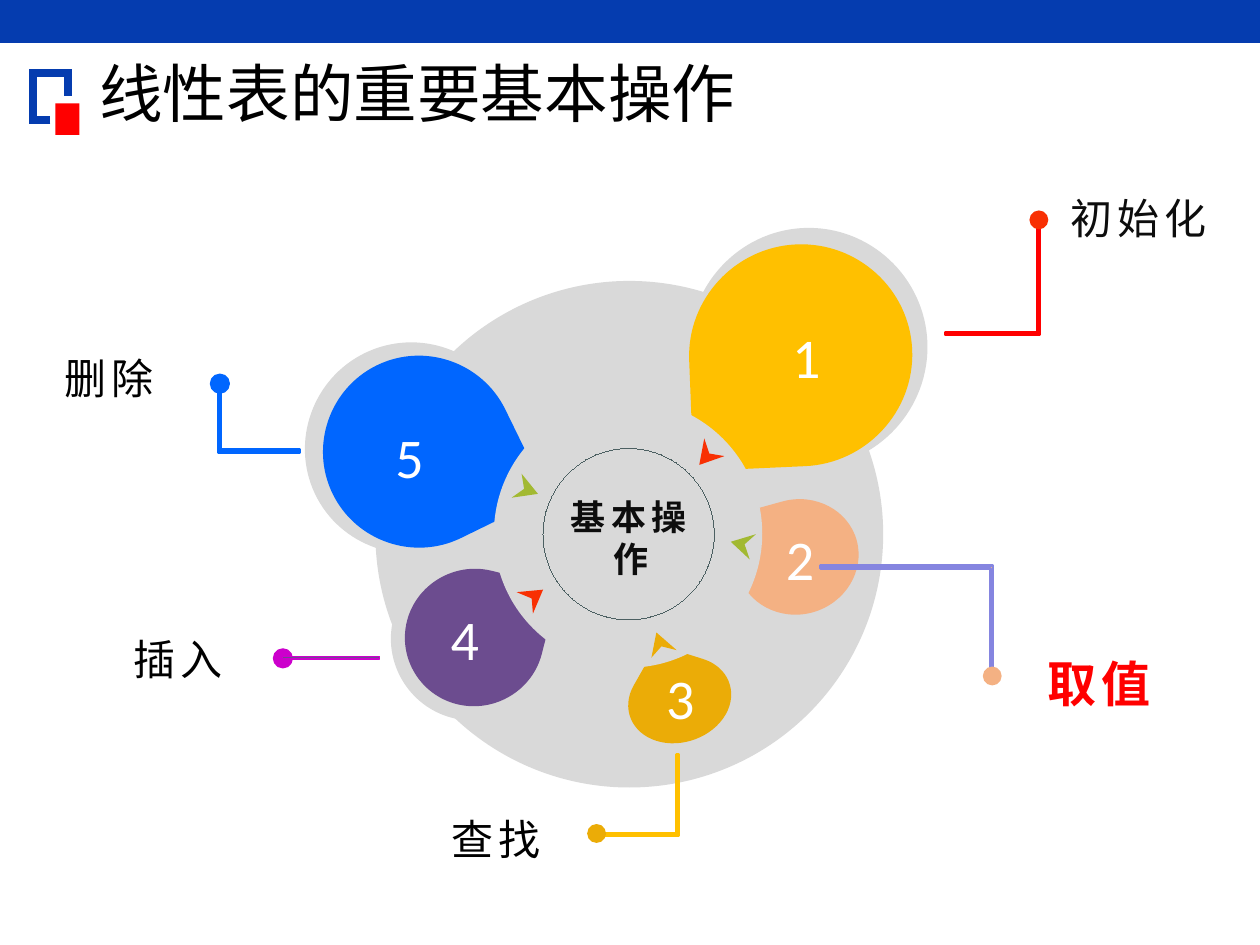
from dataclasses import dataclass

from lxml import etree
from pptx import Presentation
from pptx.dml.color import RGBColor
from pptx.enum.shapes import MSO_SHAPE
from pptx.enum.text import MSO_ANCHOR, MSO_AUTO_SIZE, PP_ALIGN
from pptx.oxml.ns import qn
from pptx.util import Inches, Pt

NAVY = RGBColor(0x05, 0x3C, 0xAF)
RED = RGBColor(0xFF, 0x00, 0x00)
GREY = RGBColor(0xD9, 0xD9, 0xD9)
PURPLE = RGBColor(0x6C, 0x4C, 0x8F)
MAGENTA = RGBColor(0xCC, 0x00, 0xCC)
BLUE = RGBColor(0x00, 0x66, 0xFF)
AMBER = RGBColor(0xFF, 0xC0, 0x00)
PEACH = RGBColor(0xF4, 0xB1, 0x83)
GOLD = RGBColor(0xEB, 0xAC, 0x07)
ORANGE = RGBColor(0xF8, 0x30, 0x03)
GREEN = RGBColor(0xA2, 0xB9, 0x32)
LILAC = RGBColor(0x85, 0x85, 0xE0)
SLATE = RGBColor(0x4C, 0x60, 0x62)
INK = RGBColor(0x0D, 0x0D, 0x0D)
BLACK = RGBColor(0x00, 0x00, 0x00)
WHITE = RGBColor(0xFF, 0xFF, 0xFF)

HAIRLINE = 0.01
QUARTER_ARC = 0.55  # handle length of a Bézier quarter circle

# Petals, relative to the wheel box: colour, then the first three quarter points
HALOS = [
    (GREY, (5.47, 1.80), (6.38, 0.81), (7.36, 1.72)),
    (GREY, (3.62, 3.31), (2.50, 2.92), (2.90, 1.80)),
    (GREY, (4.39, 4.17), (3.65, 4.71), (3.11, 3.97)),
]
PETALS = [
    (PURPLE, (4.30, 4.19), (3.63, 4.59), (3.23, 3.93)),
    (BLUE, (3.66, 3.27), (2.64, 2.92), (2.99, 1.90)),
    (AMBER, (5.47, 1.86), (6.32, 0.94), (7.24, 1.78)),
    (PEACH, (6.21, 2.98), (6.80, 3.29), (6.45, 3.86)),
    (GOLD, (5.58, 4.23), (5.76, 4.67), (5.21, 4.88)),
]
# Arrowheads: colour, wing, tip, wing, notch
ARROWS = [
    (ORANGE, [(4.10, 3.70), (4.31, 3.68), (4.23, 3.87), (4.22, 3.75)]),
    (GREEN, [(4.14, 2.76), (4.27, 2.92), (4.06, 2.95), (4.16, 2.88)]),
    (ORANGE, [(5.75, 2.62), (5.55, 2.69), (5.59, 2.48), (5.63, 2.60)]),
    (GREEN, [(5.95, 3.44), (5.80, 3.30), (6.00, 3.24), (5.91, 3.32)]),
    (GOLD, [(5.17, 4.22), (5.21, 4.02), (5.37, 4.16), (5.25, 4.13)]),
]
# Leaders: fill, line, corner, x of the level end, y of the upright end
LEADERS = [
    (RED, RED, (8.25, 1.66), 7.50, 0.70),
    (PEACH, LILAC, (7.88, 3.49), 6.51, 4.30),
    (AMBER, AMBER, (5.39, 5.63), 4.72, 4.99),
    (BLUE, BLUE, (1.73, 2.59), 2.38, 2.01),
]
# Dots: colour, left, top, outline
DOTS = [
    (ORANGE, 8.17, 0.67, None),
    (PEACH, 7.80, 4.29, None),
    (MAGENTA, 2.17, 4.15, MAGENTA),
    (GOLD, 4.66, 5.54, None),
    (BLUE, 1.67, 1.97, BLUE),
]
# Labels: text, left, top, width, height, size, colour, bold
LABELS = [
    ("初始化", 8.33, 0.46, 1.41, 0.54, 24, INK, False),
    ("查找", 3.42, 5.39, 1.03, 0.54, 24, BLACK, False),
    ("插入", 0.90, 3.96, 1.03, 0.54, 24, BLACK, False),
    ("取值", 8.15, 4.12, 1.14, 0.61, 28, RED, True),
    ("删除", 0.35, 1.73, 1.03, 0.54, 24, BLACK, False),
]
NUMBERS = [("1", 6.13, 1.49), ("5", 2.98, 2.28), ("4", 3.42, 3.73),
           ("3", 5.13, 4.20), ("2", 6.08, 3.09)]


@dataclass
class Box:
    left: float
    top: float
    width: float
    height: float

    def inner(self, left, top, width, height):
        return Box(self.left + left, self.top + top, width, height)

    def frame(self):
        return [Inches(v) for v in (self.left, self.top, self.width, self.height)]


def paint(shape, fill, line=None, weight=0.75):
    shape.shadow.inherit = False
    if fill is None:
        shape.fill.background()
    else:
        shape.fill.solid()
        shape.fill.fore_color.rgb = fill
    if line is None:
        shape.line.fill.background()
    else:
        shape.line.color.rgb = line
        shape.line.width = Pt(weight)


def add_preset(slide, kind, box, fill, line=None, weight=0.75):
    paint(slide.shapes.add_shape(kind, *box.frame()), fill, line, weight)


def add_outline(slide, box, points, fill, line=None, weight=1.5, close=True):
    points = [(Inches(box.left + x), Inches(box.top + y)) for x, y in points]
    builder = slide.shapes.build_freeform(*points[0])
    builder.add_line_segments(points[1:], close=close)
    shape = builder.convert_to_shape()
    paint(shape, fill, line, weight)
    return shape


def add_petal(slide, box, color, start, quarter, half):
    """Three quarters of an ellipse, closed by a pointed corner."""
    cx, cy = (start[0] + half[0]) / 2, (start[1] + half[1]) / 2
    ux, uy = start[0] - cx, start[1] - cy
    vx, vy = quarter[0] - cx, quarter[1] - cy
    anchors = [start, quarter, half, (cx - vx, cy - vy), (cx + ux - vx, cy + uy - vy)]
    shape = add_outline(slide, box, anchors, color)

    # Round the first three sides
    sides = list(shape._element.iter(qn("a:lnTo")))[:3]
    for side in sides:
        handles = [(cx + ux + QUARTER_ARC * vx, cy + uy + QUARTER_ARC * vy),
                   (cx + vx + QUARTER_ARC * ux, cy + vy + QUARTER_ARC * uy)]
        curve = etree.Element(qn("a:cubicBezTo"))
        for x, y in handles:
            point = etree.SubElement(curve, qn("a:pt"))
            point.set("x", str(Inches(box.left + x) - shape.left))
            point.set("y", str(Inches(box.top + y) - shape.top))
        side.getparent().replace(side, curve)
        curve.append(side[0])
        ux, uy, vx, vy = vx, vy, -ux, -uy


def add_text(slide, box, text, size, color, bold=False, wrap=False):
    frame = slide.shapes.add_textbox(*box.frame()).text_frame
    frame.margin_left = frame.margin_right = Inches(0.13)
    frame.margin_top = frame.margin_bottom = Inches(0.07)
    frame.word_wrap = wrap
    frame.auto_size = MSO_AUTO_SIZE.SHAPE_TO_FIT_TEXT
    paragraph = frame.paragraphs[0]
    paragraph.alignment = PP_ALIGN.CENTER
    run = paragraph.add_run()
    run.text = text
    run.font.name = "Calibri"
    run.font.size = Pt(size)
    run.font.bold = bold
    run.font.color.rgb = color
    run.font._element.set("spc", "300")


def leader_points(corner, end_x, end_y, thickness=0.02):
    x, y = corner
    inner_x = x + (thickness if end_x > x else -thickness)
    inner_y = y + (thickness if end_y > y else -thickness)
    return [(x, y), (end_x, y), (end_x, inner_y),
            (inner_x, inner_y), (inner_x, end_y), (x, end_y)]


def add_header(slide, box):
    # Top band and corner mark
    add_preset(slide, MSO_SHAPE.RECTANGLE, box.inner(0, 0, box.width, 0.34), NAVY)
    corners = [(0.40, 0.95), (0.26, 0.95), (0.26, 0.58), (0.54, 0.58), (0.54, 0.76)]
    bracket = add_outline(slide, box, corners, None, NAVY, 4.5, close=False)
    etree.SubElement(bracket.line._get_or_add_ln(), qn("a:miter")).set("lim", "800000")
    add_preset(slide, MSO_SHAPE.RECTANGLE, box.inner(0.44, 0.82, 0.19, 0.25), RED)

    # Title
    frame = slide.shapes.add_textbox(*box.inner(0.69, 0.52, 8.12, 0.57).frame()).text_frame
    frame.word_wrap = True
    frame.vertical_anchor = MSO_ANCHOR.MIDDLE
    paragraph = frame.paragraphs[0]
    paragraph.line_spacing = 0.7
    run = paragraph.add_run()
    run.text = "线性表的重要基本操作"
    run.font.name = "Times New Roman"
    run.font.size = Pt(36.3)
    run.font.color.rgb = BLACK


def add_wheel(slide, box):
    # Grey disc with halos, petals and the inner disc that trims them
    for halo in HALOS:
        add_petal(slide, box, *halo)
    add_preset(slide, MSO_SHAPE.OVAL, box.inner(2.98, 1.23, 4.03, 4.02), GREY)
    for petal in PETALS:
        add_petal(slide, box, *petal)
    add_preset(slide, MSO_SHAPE.OVAL, box.inner(3.92, 2.17, 2.13, 2.13), GREY)

    # Arrowheads around the hub
    for color, points in ARROWS:
        add_outline(slide, box, points, color)
    add_preset(slide, MSO_SHAPE.OVAL, box.inner(4.31, 2.56, 1.36, 1.36), None, SLATE, HAIRLINE)

    # Leaders and their dots
    for fill, line, *ends in LEADERS:
        add_outline(slide, box, leader_points(*ends), fill, line)
    for color, left, top, line in DOTS:
        add_preset(slide, MSO_SHAPE.OVAL, box.inner(left, top, 0.15, 0.15), color, line)
    add_preset(slide, MSO_SHAPE.RECTANGLE, box.inner(2.24, 4.21, 0.77, 0.02), PURPLE, MAGENTA)

    # Hub text, labels and numbers
    add_text(slide, box.inner(4.35, 2.86, 1.32, 0.81), "基本操作", 20, INK, True, wrap=True)
    for text, left, top, width, height, *style in LABELS:
        add_text(slide, box.inner(left, top, width, height), text, *style)
    for text, left, top in NUMBERS:
        add_text(slide, box.inner(left, top, 0.54, 0.67), text, 32, WHITE)


def main():
    presentation = Presentation()
    presentation.slide_width, presentation.slide_height = Inches(10), Inches(7.5)
    slide = presentation.slides.add_slide(presentation.slide_layouts[6])
    add_header(slide, Box(0, 0, 10, 1))
    add_wheel(slide, Box(0, 1, 10, 6.5))
    presentation.save("out.pptx")


if __name__ == "__main__":
    main()
